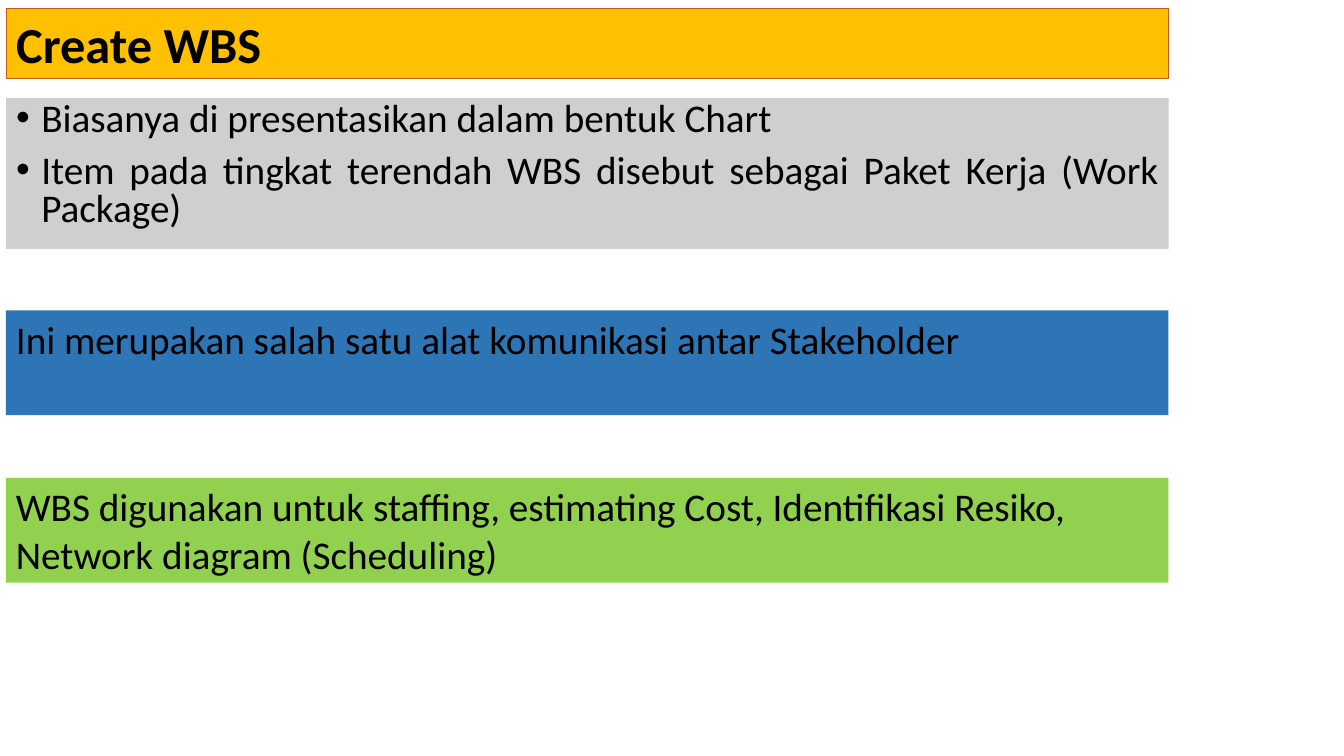
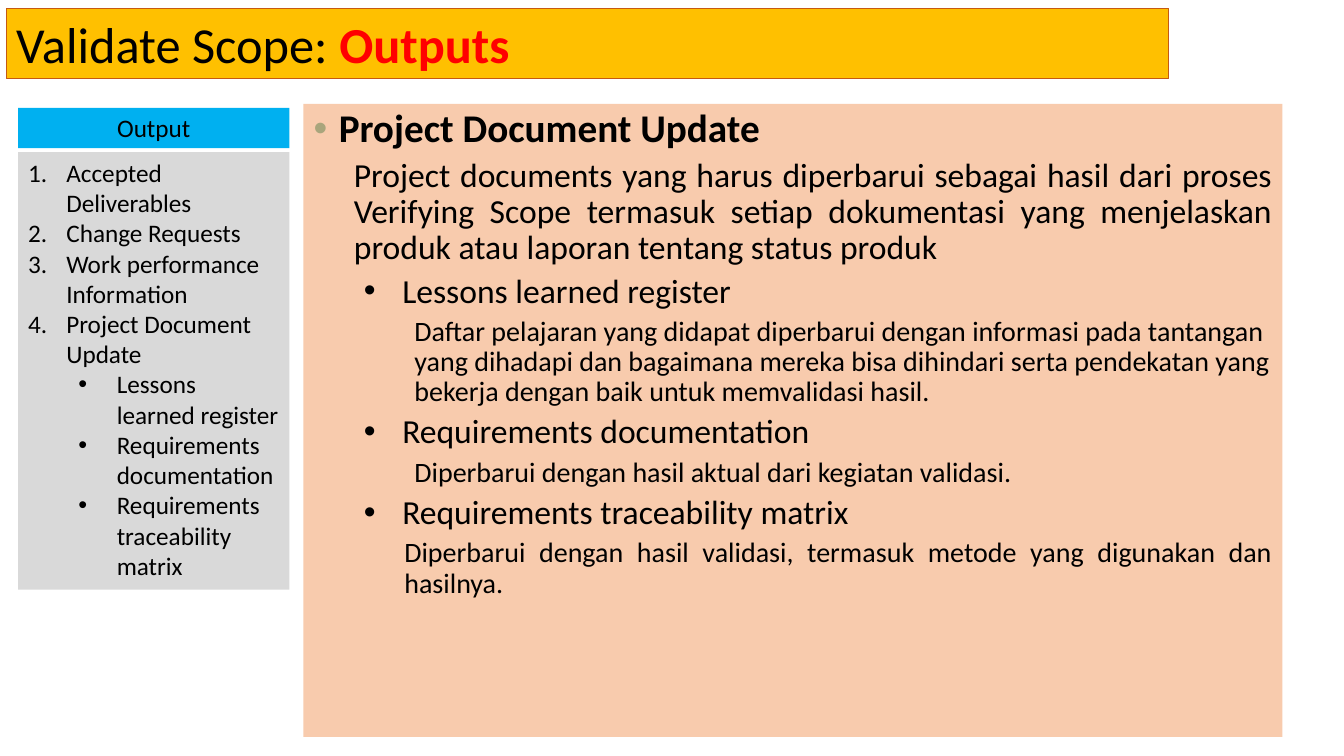
from dataclasses import dataclass
from typing import Optional

from lxml.etree import SubElement
from pptx import Presentation
from pptx.dml.color import RGBColor
from pptx.enum.shapes import MSO_SHAPE
from pptx.enum.text import MSO_ANCHOR, MSO_AUTO_SIZE, PP_ALIGN as AL
from pptx.oxml.ns import qn
from pptx.util import Inches, Pt

FONT = "Calibri"
BLACK, RED = "000000", "FF0000"
GOLD, RUST = "FFC000", "C55A11"
GREY, SILVER, PEACH = "D0CECE", "D9D9D9", "F8CBAD"
BLUE, GREEN, SKY, OLIVE = "2E75B6", "92D050", "00B0F0", "A9A57C"
NUMBER = "arabicPeriod"
BAND_X, BAND_W = 0.06, 11.53
SIDE_X, SIDE_W = 0.18, 2.69


@dataclass(frozen=True)
class Run:
    text: str
    bold: bool = False
    color: str = BLACK


@dataclass(frozen=True)
class Style:
    size: int
    level: int = 0
    margin: float = 0
    hang: float = 0
    bullet: Optional[str] = None
    bullet_color: Optional[str] = None
    align: AL = AL.LEFT
    spacing: float = 1.0
    before: int = 0


@dataclass(frozen=True)
class Para:
    style: Style
    runs: tuple[Run, ...]


@dataclass(frozen=True)
class Box:
    left: float
    top: float
    width: float
    height: float
    fill: str


TITLE = Style(36)
NOTE = Style(28)
POINT = Style(28, 0, 0.25, 0.25, "•", None, AL.JUSTIFY, 0.8, 10)
HEADING = Style(28, 0, 0.25, 0.25, "•", OLIVE, AL.JUSTIFY, 0.9, 10)
INTRO = Style(24, 1, 0.4, align=AL.JUSTIFY, spacing=0.9, before=5)
DOCUMENT = Style(24, 1, 0.88, 0.38, "•", spacing=0.9, before=5)
DETAIL = Style(20, 2, 1.0, spacing=0.9, before=5)
LAST_DETAIL = Style(20, 2, 0.9, align=AL.JUSTIFY, spacing=0.9, before=5)
SIDE_HEAD = Style(18, align=AL.CENTER)
SIDE_ITEM = Style(18, 0, 0.38, 0.38, NUMBER)
SIDE_SUBITEM = Style(18, 1, 0.88, 0.38, "•")

TITLE_BOX = Box(BAND_X, 0.08, BAND_W, 0.7, GOLD)


def rgb(color: str) -> RGBColor:
    return RGBColor.from_string(color)


def line(style: Style, text: str, bold: bool = False) -> Para:
    return Para(style, (Run(text, bold),))


def set_bullet(p, style: Style) -> None:
    pPr = p._p.get_or_add_pPr()
    pPr.set("marL", str(Inches(style.margin)))
    pPr.set("indent", str(-Inches(style.hang)))
    if style.bullet is None:
        SubElement(pPr, qn("a:buNone"))
        return
    if style.bullet_color:
        clr = SubElement(pPr, qn("a:buClr"))
        SubElement(clr, qn("a:srgbClr")).set("val", style.bullet_color)
    if style.bullet == NUMBER:
        SubElement(pPr, qn("a:buFont")).set("typeface", FONT)
        SubElement(pPr, qn("a:buAutoNum")).set("type", NUMBER)
    else:
        SubElement(pPr, qn("a:buFont")).set("typeface", "Arial")
        SubElement(pPr, qn("a:buChar")).set("char", style.bullet)


def write(sp, paras: list[Para], anchor: MSO_ANCHOR = MSO_ANCHOR.TOP) -> None:
    tf = sp.text_frame
    tf.word_wrap = True
    tf.auto_size = MSO_AUTO_SIZE.NONE
    tf.vertical_anchor = anchor
    for i, para in enumerate(paras):
        style = para.style
        p = tf.add_paragraph() if i else tf.paragraphs[0]
        set_bullet(p, style)
        p.level = style.level
        p.alignment = style.align
        p.line_spacing = style.spacing
        p.space_before = Pt(style.before if i else 0)
        for run in para.runs:
            r = p.add_run()
            r.text = run.text
            r.font.name = FONT
            r.font.size = Pt(style.size)
            r.font.bold = run.bold
            r.font.color.rgb = rgb(run.color)


def place(sp, box: Box) -> None:
    sp.left, sp.top = Inches(box.left), Inches(box.top)
    sp.width, sp.height = Inches(box.width), Inches(box.height)
    sp.fill.solid()
    sp.fill.fore_color.rgb = rgb(box.fill)


def add_panel(s, box: Box, paras: list[Para]) -> None:
    sp = s.shapes.add_shape(MSO_SHAPE.RECTANGLE, 0, 0, 0, 0)
    sp.shadow.inherit = False
    sp.line.fill.background()
    place(sp, box)
    write(sp, paras)


def add_slide(prs, title: tuple[Run, ...], box: Box, body: list[Para]):
    s = prs.slides.add_slide(prs.slide_layouts[1])
    sp = s.shapes.title
    place(sp, TITLE_BOX)
    sp.line.color.rgb = rgb(RUST)
    sp.line.width = Pt(0.75)
    write(sp, [Para(TITLE, title)], MSO_ANCHOR.MIDDLE)
    sp = s.placeholders[1]
    place(sp, box)
    write(sp, body)
    return s


def add_create_wbs(prs) -> None:
    s = add_slide(prs, (Run("Create WBS", True),), Box(BAND_X, 0.97, BAND_W, 1.5, GREY), [
        line(POINT, "Biasanya di presentasikan dalam bentuk Chart"),
        line(POINT, "Item pada tingkat terendah WBS disebut sebagai Paket Kerja (Work Package)"),
    ])
    notes = (
        (BLUE, "Ini merupakan salah satu alat komunikasi antar Stakeholder"),
        (GREEN, "WBS digunakan untuk staffing, estimating Cost, Identifikasi Resiko, "
                "Network diagram (Scheduling)"),
    )
    for i, (fill, text) in enumerate(notes):
        add_panel(s, Box(BAND_X, 3.08 + 1.66 * i, BAND_W, 1.04, fill), [line(NOTE, text)])


def add_validate_scope(prs) -> None:
    heading = "Project Document Update"
    documents = (
        ("Lessons learned register", DETAIL,
         "Daftar pelajaran yang didapat diperbarui dengan informasi pada tantangan yang "
         "dihadapi dan bagaimana mereka bisa dihindari serta pendekatan yang bekerja "
         "dengan baik untuk memvalidasi hasil."),
        ("Requirements documentation", DETAIL,
         "Diperbarui dengan hasil aktual dari kegiatan validasi."),
        ("Requirements traceability matrix", LAST_DETAIL,
         "Diperbarui dengan hasil validasi, termasuk metode yang digunakan dan hasilnya."),
    )
    body = [
        line(HEADING, heading, True),
        line(INTRO, "Project documents yang harus diperbarui sebagai hasil dari proses "
                    "Verifying Scope termasuk setiap dokumentasi yang menjelaskan produk "
                    "atau laporan tentang status produk"),
    ]
    for name, style, detail in documents:
        body += [line(DOCUMENT, name), line(style, detail)]
    s = add_slide(prs, (Run("Validate Scope: "), Run("Outputs", True, RED)),
                  Box(3.01, 1.03, 9.71, 6.28, PEACH), body)

    outputs = ("Accepted Deliverables", "Change Requests", "Work performance Information", heading)
    items = [line(SIDE_ITEM, text) for text in outputs]
    items += [line(SIDE_SUBITEM, name) for name, _, _ in documents]
    add_panel(s, Box(SIDE_X, 1.07, SIDE_W, 0.4, SKY), [line(SIDE_HEAD, "Output")])
    add_panel(s, Box(SIDE_X, 1.51, SIDE_W, 4.34, SILVER), items)


def main() -> None:
    prs = Presentation()
    prs.slide_width, prs.slide_height = Inches(13.33), Inches(7.5)
    add_create_wbs(prs)
    add_validate_scope(prs)
    prs.save("out.pptx")


if __name__ == "__main__":
    main()
